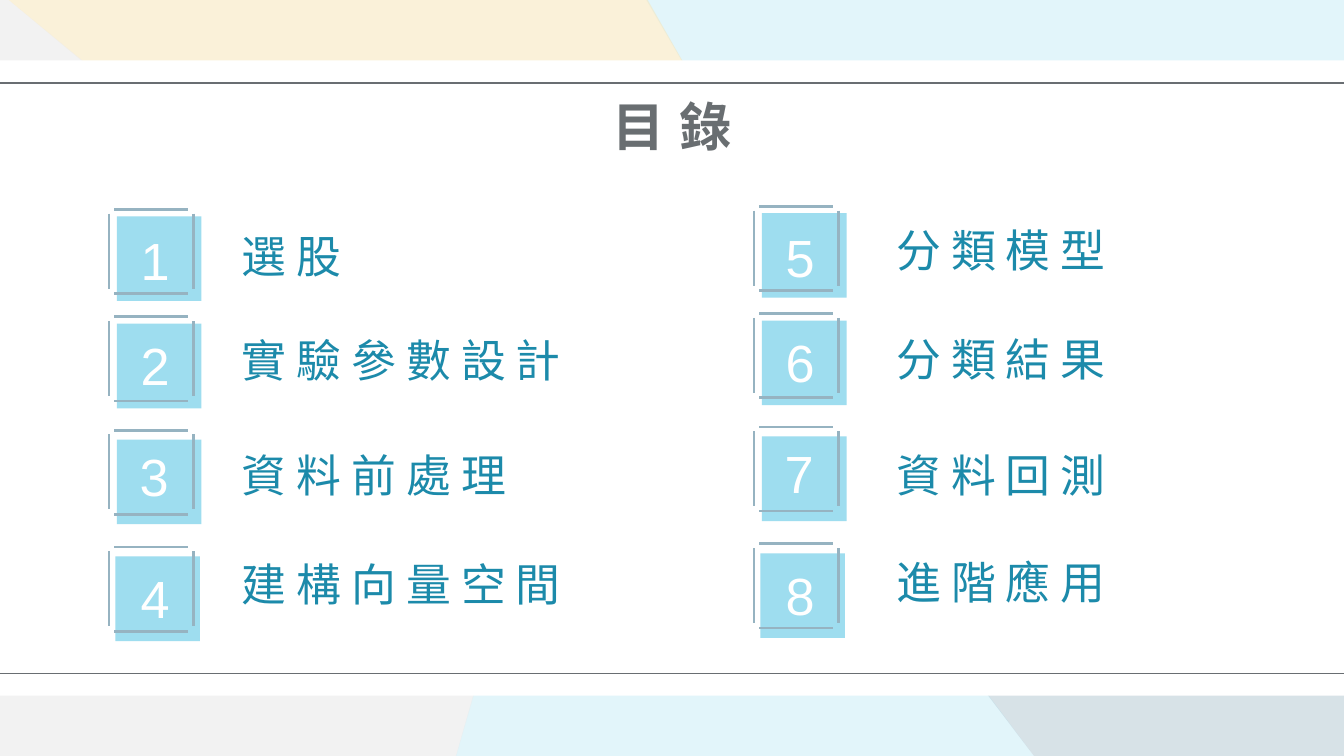
from lxml import etree
from pptx import Presentation
from pptx.dml.color import RGBColor
from pptx.enum.shapes import MSO_CONNECTOR, MSO_SHAPE
from pptx.enum.text import MSO_ANCHOR, MSO_AUTO_SIZE, PP_ALIGN
from pptx.oxml.ns import qn
from pptx.util import Cm, Pt

COLORS = {
    "sky": "9EDDEF",
    "steel": "96B3C1",
    "sand": "F7E5B7",
    "mist": "EEEEEE",
    "white": "FFFFFF",
    "rule": "696E72",
    "title": "696E71",
    "label": "1C8AAA",
}

# colour, opacity in percent, corners in cm
FACETS = [
    ("steel", 38, [(25.78, 15.06), (25.78, 8.15), (11.63, 3.86), (19.99, 14.88)]),
    ("sky", 29, [(20.04, 14.96), (8.46, 14.83), (11.63, 3.71)]),
    ("sky", 29, [(25.76, 8.15), (25.76, -0.25), (12.07, -0.25), (15.01, 4.8)]),
    ("sand", 52, [(15.01, 4.85), (12.07, -0.3), (-0.2, -0.3), (10.26, 8.41), (11.71, 3.86)]),
    ("mist", 71, [(8.48, 14.78), (-0.08, 14.78), (-0.08, -0.2), (10.34, 8.36)]),
]

# x offset, y offset, label left, entries as (label, label top)
COLUMNS = [
    (0, 0, 4.32, [("選 股", 4.09), ("實 驗 參 數 設 計", 6.07),
                  ("資 料 前 處 理", 8.23), ("建 構 向 量 空 間", 10.29)]),
    (12.19, -0.06, 16.69, [("分 類 模 型", 3.99), ("分 類 結 果", 6.05),
                           ("資 料 回 測", 8.23), ("進 階 應 用", 10.26)]),
]

# frame top, square left, square top, number left, number top
ROWS = [
    (3.96, 2.21, 4.09, 2.41, 4.19),
    (5.99, 2.21, 6.12, 2.41, 6.17),
    (8.13, 2.21, 8.31, 2.39, 8.26),
    (10.34, 2.18, 10.52, 2.41, 10.57),
]


def rgb(name):
    return RGBColor.from_string(COLORS[name])


def paint(shape, color, opacity=100):
    shape.shadow.inherit = False
    shape.fill.solid()
    shape.fill.fore_color.rgb = rgb(color)
    shape.line.fill.background()
    if opacity < 100:
        tint = shape.fill._xPr.find(qn("a:solidFill"))[0]
        etree.SubElement(tint, qn("a:alpha"), val=str(opacity * 1000))


def add_facet(shapes, color, opacity, corners):
    points = [(Cm(x), Cm(y)) for x, y in corners]
    builder = shapes.build_freeform(*points[0])
    builder.add_line_segments(points[1:], close=True)
    paint(builder.convert_to_shape(), color, opacity)


def add_rectangle(shapes, left, top, width, height, color):
    box = shapes.add_shape(MSO_SHAPE.RECTANGLE, Cm(left), Cm(top), Cm(width), Cm(height))
    paint(box, color)


def add_line(shapes, x1, y1, x2, y2, color, weight):
    line = shapes.add_connector(MSO_CONNECTOR.STRAIGHT, Cm(x1), Cm(y1), Cm(x2), Cm(y2))
    line.line.color.rgb = rgb(color)
    line.line.width = Pt(weight)
    etree.SubElement(line.element.spPr, qn("a:effectLst"))


def add_frame(shapes, left, top):
    """Four separate strokes that leave the corners open."""
    strokes = shapes.add_group_shape().shapes
    right, bottom = left + 1.6, top + 1.59
    for y in (top, bottom):
        add_line(strokes, left + 0.1, y, right - 0.1, y, "steel", 1.5)
    for x in (right, left):
        add_line(strokes, x, top + 0.08, x, bottom - 0.09, "steel", 1.5)


def set_text(shape, text, *, size, color, font, bold=False, align=PP_ALIGN.LEFT,
             anchor=MSO_ANCHOR.MIDDLE, inset_y=0.25, auto_size=MSO_AUTO_SIZE.NONE):
    frame = shape.text_frame
    frame.word_wrap = True
    frame.auto_size = auto_size
    frame.vertical_anchor = anchor
    frame.margin_left = frame.margin_right = Cm(0.25)
    frame.margin_top = frame.margin_bottom = Cm(inset_y)
    paragraph = frame.paragraphs[0]
    paragraph.alignment = align
    run = paragraph.add_run()
    run.text = text
    run.font.size = Pt(size)
    run.font.bold = bold
    run.font.name = font
    run.font.color.rgb = rgb(color)
    latin = run.font._element.find(qn("a:latin"))
    latin.addnext(latin.makeelement(qn("a:ea"), {"typeface": font}))


def add_text(shapes, left, top, width, height, text, **style):
    box = shapes.add_textbox(Cm(left), Cm(top), Cm(width), Cm(height))
    set_text(box, text, **style)


def add_backdrop(shapes):
    for color, opacity, corners in FACETS:
        add_facet(shapes, color, opacity, corners)
    add_rectangle(shapes, -0.08, 1.14, 25.53, 12.01, "white")
    for y in (1.57, 12.73):
        add_line(shapes, -0.3, y, 25.5, y, "rule", 0.75)


def place_title(slide, text):
    title = slide.shapes.title
    title.left, title.top, title.width, title.height = Cm(5.49), Cm(1.63), Cm(14.43), Cm(1.47)
    set_text(title, text, size=28, color="title", font="Arial", bold=True,
             align=PP_ALIGN.CENTER)
    # Bring the title in front of the backdrop
    title.element.getparent().append(title.element)


def add_entry(shapes, number, label, label_left, label_top, row, dx, dy):
    frame_top, square_left, square_top, number_left, number_top = row
    add_rectangle(shapes, square_left + dx, square_top + dy, 1.6, 1.6, "sky")
    add_frame(shapes, 2.06 + dx, frame_top + dy)
    add_text(shapes, number_left + dx, number_top + dy, 1.07, 1.45, str(number),
             size=28, color="white", font="Arial", anchor=MSO_ANCHOR.BOTTOM,
             inset_y=0.13, auto_size=MSO_AUTO_SIZE.SHAPE_TO_FIT_TEXT)
    label_width = 3.18 if number == 1 else 14.43
    add_text(shapes, label_left, label_top, label_width, 1.47, label,
             size=24, color="label", font="Noto Sans CJK TC")


def main():
    deck = Presentation()
    deck.slide_width, deck.slide_height = Cm(25.4), Cm(14.29)
    slide = deck.slides.add_slide(deck.slide_layouts[5])
    add_backdrop(slide.shapes)
    place_title(slide, "目 錄")
    number = 0
    for dx, dy, label_left, entries in COLUMNS:
        for row, (label, label_top) in zip(ROWS, entries):
            number += 1
            add_entry(slide.shapes, number, label, label_left, label_top, row, dx, dy)
    deck.save("out.pptx")


if __name__ == "__main__":
    main()
